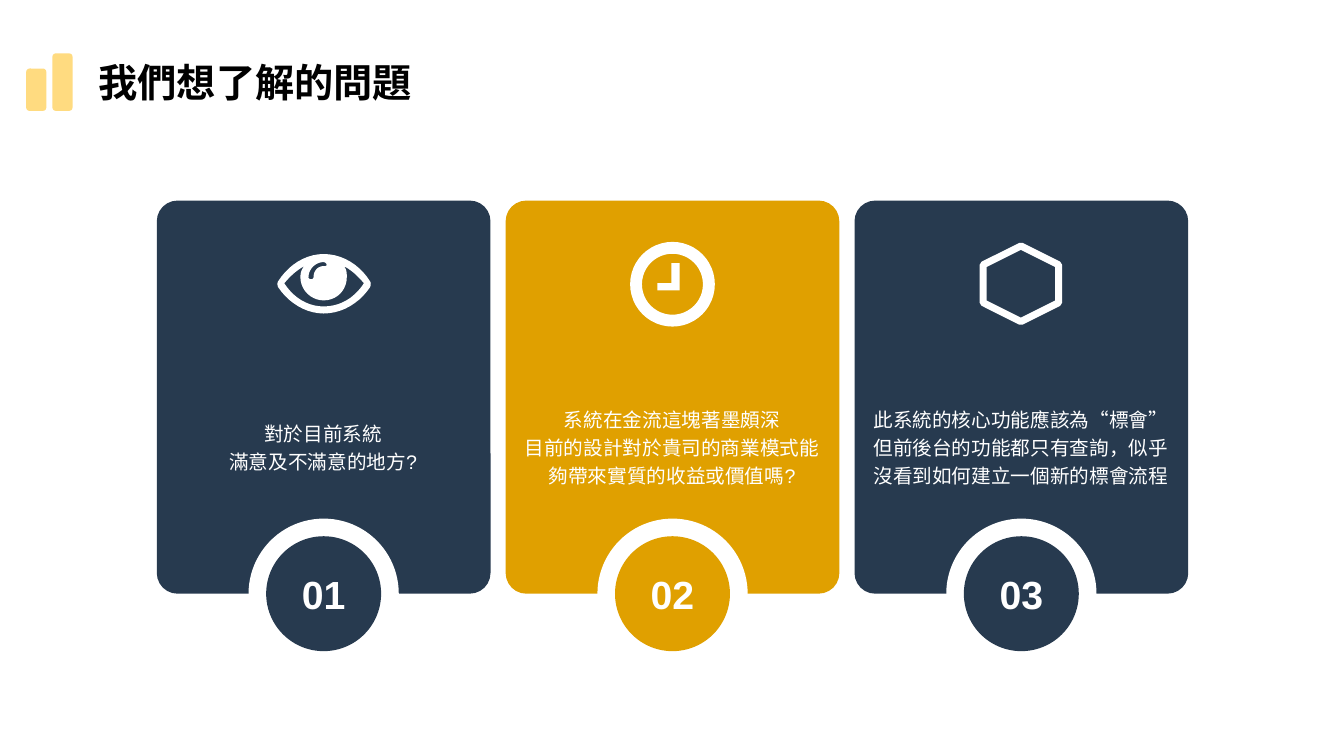
import pptx
import pptx.dml.color
import pptx.enum.shapes
import pptx.enum.text
import pptx.util

Inches = pptx.util.Inches
Pt = pptx.util.Pt
SHAPE = pptx.enum.shapes.MSO_SHAPE
ALIGN = pptx.enum.text.PP_ALIGN
ANCHOR = pptx.enum.text.MSO_ANCHOR

COLORS = {
    "navy": "273A4F",
    "gold": "E0A000",
    "pale": "FFDB80",
    "white": "FFFFFF",
    "black": "000000",
}
FONT = "Arial"

CARD_W, CARD_H, CARD_TOP = 3.31, 3.9, 1.99
FIRST_CENTER, CARD_PITCH = 3.21, 3.46
RING, DISC = 1.49, 1.14

# Each outline is a start point followed by cubic Bezier segments.
EYE_OUTLINES = [
    [(3.67, 2.85),
     [(3.57, 3), (3.4, 3.11), (3.21, 3.11)],
     [(3.03, 3.11), (2.86, 3), (2.76, 2.85)],
     [(2.75, 2.83), (2.75, 2.8), (2.76, 2.79)],
     [(2.86, 2.63), (3.03, 2.52), (3.21, 2.52)],
     [(3.4, 2.52), (3.57, 2.63), (3.67, 2.79)],
     [(3.68, 2.8), (3.68, 2.83), (3.67, 2.85)]],
    [(3.41, 2.64),
     [(3.44, 2.67), (3.44, 2.71), (3.44, 2.75)],
     [(3.44, 2.88), (3.34, 2.98), (3.21, 2.98)],
     [(3.09, 2.98), (2.98, 2.88), (2.98, 2.75)],
     [(2.98, 2.71), (2.99, 2.67), (3.02, 2.64)],
     [(2.94, 2.68), (2.87, 2.75), (2.82, 2.81)],
     [(2.91, 2.95), (3.05, 3.04), (3.21, 3.04)],
     [(3.38, 3.04), (3.52, 2.95), (3.61, 2.81)],
     [(3.56, 2.75), (3.49, 2.68), (3.41, 2.64)]],
    [(3.21, 2.6),
     [(3.13, 2.6), (3.06, 2.67), (3.06, 2.75)],
     [(3.06, 2.76), (3.07, 2.77), (3.09, 2.77)],
     [(3.1, 2.77), (3.11, 2.76), (3.11, 2.75)],
     [(3.11, 2.69), (3.15, 2.64), (3.21, 2.64)],
     [(3.22, 2.64), (3.24, 2.64), (3.24, 2.63)],
     [(3.24, 2.61), (3.22, 2.6), (3.21, 2.6)]],
]
CLOCK_HANDS = [(6.66, 2.61), (6.74, 2.61), (6.74, 2.88),
               (6.52, 2.88), (6.52, 2.81), (6.66, 2.81)]


def rgb(color):
    return pptx.dml.color.RGBColor.from_string(COLORS[color])


def paint(sp, color):
    sp.shadow.inherit = False
    sp.fill.solid()
    sp.fill.fore_color.rgb = rgb(color)
    sp.line.fill.background()
    return sp


def add_filled(shapes, kind, box, color, adj=None):
    sp = paint(shapes.add_shape(kind, *map(Inches, box)), color)
    if adj is not None:
        sp.adjustments[0] = adj
    return sp


def add_run(p, text, size, color, bold=False):
    r = p.add_run()
    r.text = text
    r.font.name = FONT
    r.font.size = Pt(size)
    r.font.bold = bold
    r.font.color.rgb = rgb(color)


def add_outlines(shapes, outlines, color):
    """Fill closed polygons as one shape; inner ones become holes."""
    outlines = [[(Inches(x), Inches(y)) for x, y in o] for o in outlines]
    builder = shapes.build_freeform(*outlines[0][0])
    builder.add_line_segments(outlines[0][1:])
    for outline in outlines[1:]:
        builder.move_to(*outline[0])
        builder.add_line_segments(outline[1:])
    return paint(builder.convert_to_shape(), color)


def flatten(outline, steps=10):
    """Turn Bezier segments into points along the curve."""
    points = [outline[0]]
    for b, c, d in outline[1:]:
        a = points[-1]
        for i in range(1, steps + 1):
            t = i / steps
            u = 1 - t
            points.append(tuple(
                u**3 * a[k] + 3 * u * u * t * b[k] + 3 * u * t * t * c[k] + t**3 * d[k]
                for k in (0, 1)))
    return points


def add_eye(shapes):
    add_outlines(shapes, [flatten(o) for o in EYE_OUTLINES], "white")


def add_clock(shapes):
    add_filled(shapes, SHAPE.DONUT, (6.25, 2.4, 0.84, 0.84), "white", 0.14)
    add_outlines(shapes, [CLOCK_HANDS], "white")


def add_hexagon(shapes):
    sp = add_filled(shapes, SHAPE.HEXAGON, (9.75, 2.44, 0.75, 0.75), "white")
    sp.rotation = 90
    sp.fill.background()
    sp.line.color.rgb = rgb("white")
    sp.line.width = Pt(5)


def add_title(shapes, text):
    add_filled(shapes, SHAPE.ROUNDED_RECTANGLE, (0.52, 0.53, 0.2, 0.57), "pale")
    add_filled(shapes, SHAPE.ROUNDED_RECTANGLE, (0.26, 0.68, 0.2, 0.42), "pale")
    tf = shapes.add_textbox(*map(Inches, (0.88, 0.53, 5.94, 0.57))).text_frame
    tf.word_wrap = True
    add_run(tf.paragraphs[0], text, 28, "black", True)


def add_question(shapes, center, lines):
    tf = shapes.add_textbox(*map(Inches, (center - 1.5, 3.69, 2.99, 1.45))).text_frame
    tf.word_wrap = True
    tf.vertical_anchor = ANCHOR.MIDDLE
    tf.margin_left = tf.margin_right = tf.margin_top = tf.margin_bottom = 0
    for i, line in enumerate(lines):
        p = tf.add_paragraph() if i else tf.paragraphs[0]
        p.alignment = ALIGN.CENTER
        p.line_spacing = 1.2
        add_run(p, line, 14, "white")


def add_number(shapes, center, number, color):
    middle = CARD_TOP + CARD_H
    for size, fill in ((RING, "white"), (DISC, color)):
        box = (center - size / 2, middle - size / 2, size, size)
        sp = add_filled(shapes, SHAPE.OVAL, box, fill)
    tf = sp.text_frame
    tf.word_wrap = False
    tf.vertical_anchor = ANCHOR.MIDDLE
    p = tf.paragraphs[0]
    p.alignment = ALIGN.CENTER
    add_run(p, f"{number:02}", 28, "white", True)


def add_card(s, number, color, add_icon, lines):
    shapes = s.shapes.add_group_shape().shapes
    center = FIRST_CENTER + (number - 1) * CARD_PITCH
    box = (center - CARD_W / 2, CARD_TOP, CARD_W, CARD_H)
    add_filled(shapes, SHAPE.ROUNDED_RECTANGLE, box, color, 0.062)
    add_number(shapes, center, number, color)
    add_icon(shapes)
    add_question(shapes, center, lines)


def main():
    prs = pptx.Presentation()
    prs.slide_width, prs.slide_height = Inches(13.33), Inches(7.5)
    s = prs.slides.add_slide(prs.slide_layouts[6])
    add_title(s.shapes, "我們想了解的問題")
    cards = [
        ("navy", add_eye, ["對於目前系統", "滿意及不滿意的地方?"]),
        ("gold", add_clock, ["系統在金流這塊著墨頗深",
                             "目前的設計對於貴司的商業模式能夠帶來實質的收益或價值嗎?"]),
        ("navy", add_hexagon, ["此系統的核心功能應該為“標會”",
                               "但前後台的功能都只有查詢，似乎沒看到如何建立一個新的標會流程"]),
    ]
    for number, card in enumerate(cards, 1):
        add_card(s, number, *card)
    prs.save("out.pptx")


if __name__ == "__main__":
    main()
